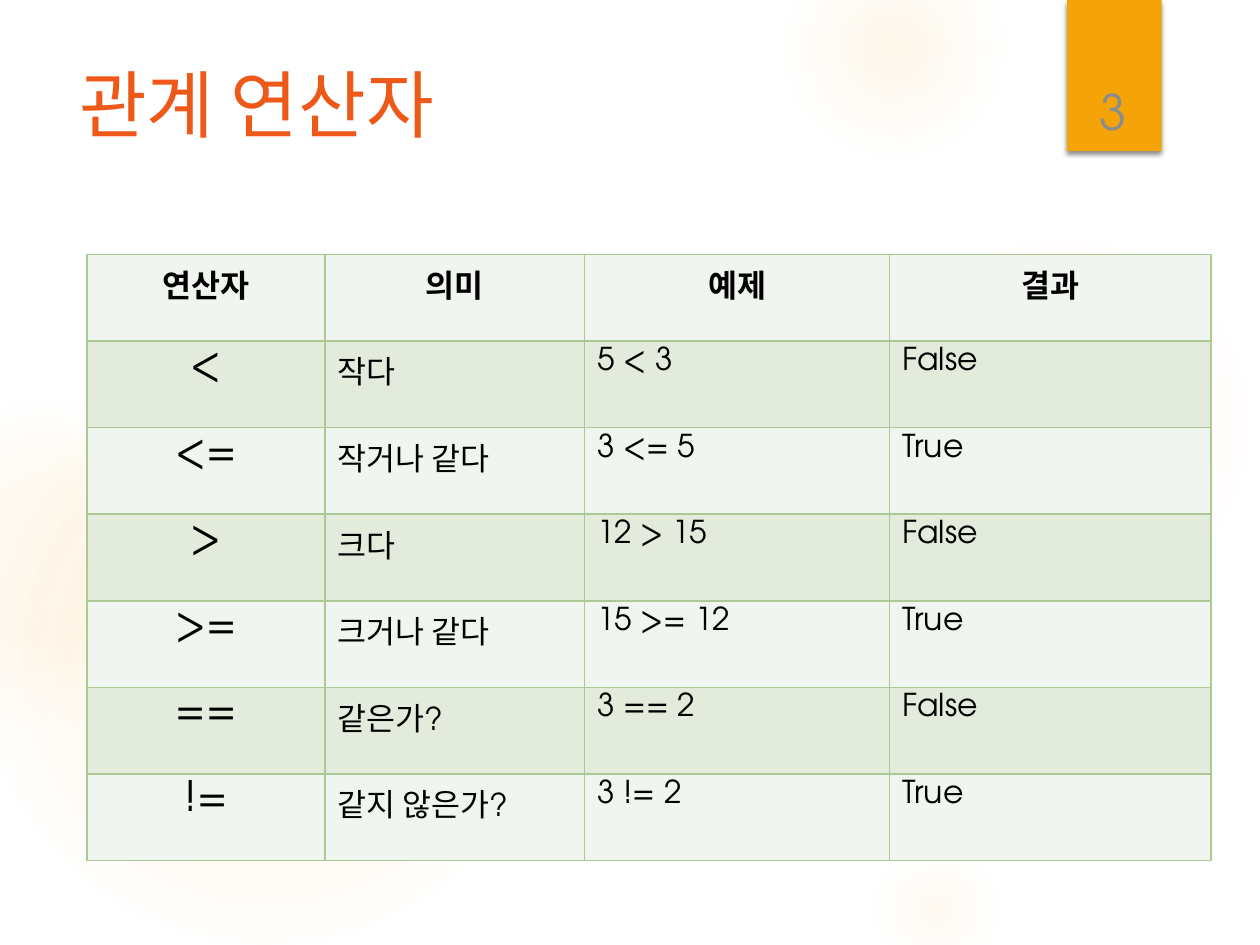
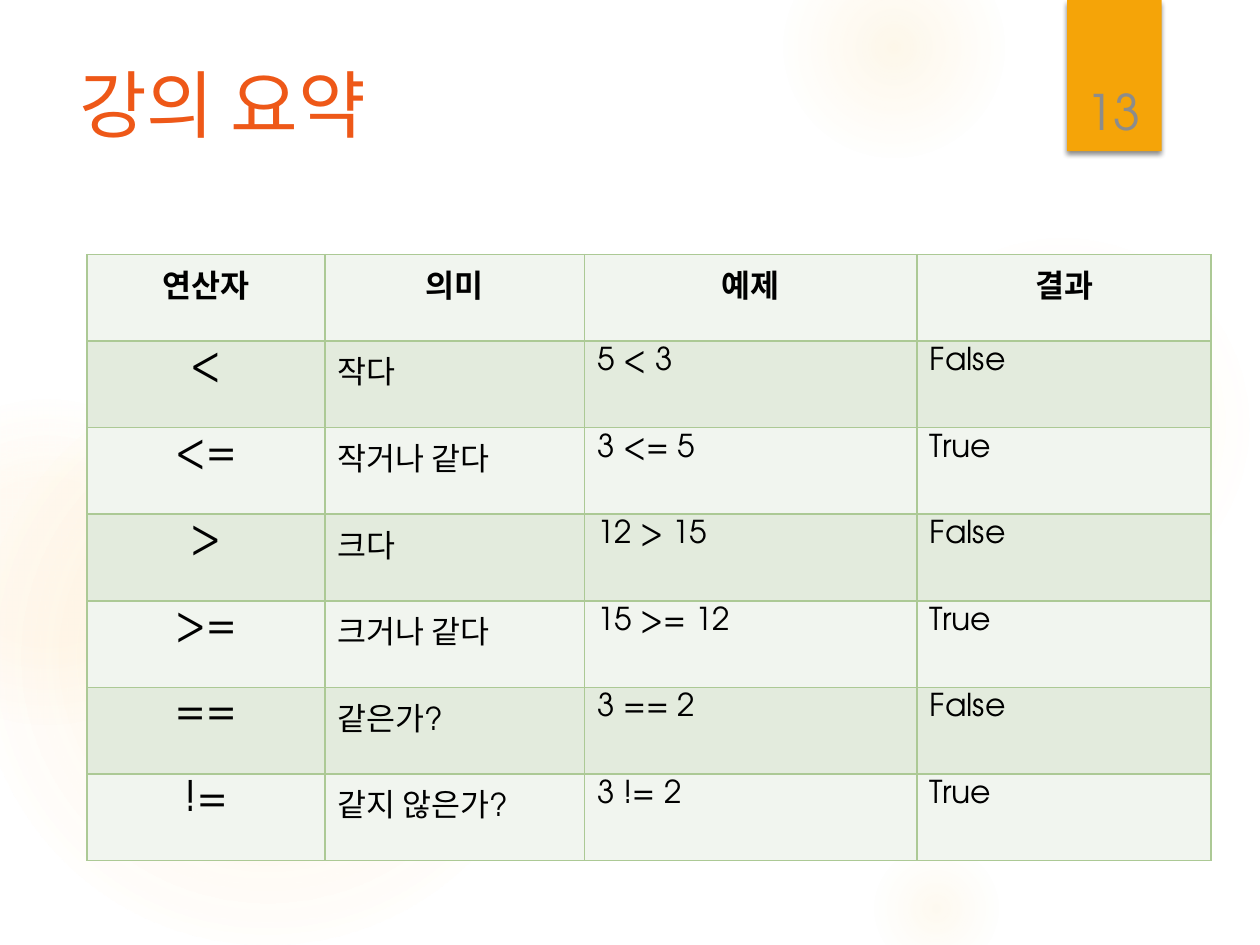
import pptx
import pptx.dml.color
import pptx.enum.shapes
import pptx.enum.text
import pptx.oxml
import pptx.oxml.ns
import pptx.util
from lxml import etree

Inches = pptx.util.Inches
Pt = pptx.util.Pt
Align = pptx.enum.text.PP_ALIGN
Anchor = pptx.enum.text.MSO_ANCHOR
Preset = pptx.enum.shapes.MSO_SHAPE

LATIN, KOREAN = "TeX Gyre Adventor", "Noto Sans CJK KR"
ORANGE, AMBER, GLOW, GREY = "EE5818", "F5A408", "FAC96A", "8C8C8C"
BLACK, GREEN_LINE = "000000", "ACC995"
ROW_FILLS = ["F1F5EF", "E3EBDD"]
DRAWING = pptx.oxml.ns.nsdecls("a")

GLOWS = [
    (6.89, 1.83, 3.08, [(0, 7), (36, 6), (69, 0)]),
    (6.22, -0.5, 1.75, [(0, 14), (36, 7), (73, 0)]),
    (6.89, 6.67, 1.08, [(0, 10), (31, 5), (66, 0)]),
    (-0.17, 2.92, 4.58, [(0, 11), (36, 10), (75, 0)]),
    (-0.92, 3.17, 2.58, [(0, 8), (36, 8), (72, 0)]),
]
OPERATORS = [
    ("연산자", "의미", "예제", "결과"),
    ("<", "작다", "5 < 3", "False"),
    ("<=", "작거나 같다", "3 <= 5", "True"),
    (">", "크다", "12 > 15", "False"),
    (">=", "크거나 같다", "15 >= 12", "True"),
    ("==", "같은가?", "3 == 2", "False"),
    ("!=", "같지 않은가?", "3 != 2", "True"),
]
TABLE_BOX = (0.69, 2.02, 8.92, 4.81)
SLIDES = [
    ("관계 연산자", "3", [1.89, 2.06, 2.42, 2.55]),
    ("강의 요약", "13", [1.89, 2.06, 2.64, 2.33]),
]


def color(value):
    """Turn a hex string into a colour."""
    return pptx.dml.color.RGBColor.from_string(value)


def write(frame, text, size, ink, latin=LATIN, align=Align.LEFT, bold=False):
    """Put one formatted paragraph in a text frame and return it."""
    frame.text = text
    para = frame.paragraphs[0]
    para.alignment = align
    span = para.runs[0]
    span.font.size = Pt(size)
    span.font.bold = bold
    span.font.color.rgb = color(ink)
    span.font.name = latin
    east_asian = etree.SubElement(span.font._element, pptx.oxml.ns.qn("a:ea"))
    east_asian.set("typeface", KOREAN)
    return para


def add_text(page, box, *args, anchor=Anchor.TOP, **options):
    """Add a wrapping text box and return its paragraph."""
    frame = page.shapes.add_textbox(*map(Inches, box)).text_frame
    frame.word_wrap = True
    frame.vertical_anchor = anchor
    return write(frame, *args, **options)


def add_glow(page, left, top, size, stops):
    """Add a soft circle that fades outward."""
    circle = page.shapes.add_shape(Preset.OVAL, *map(Inches, (left, top, size, size)))
    circle.shadow.inherit = False
    circle.line.fill.background()
    circle.fill.background()
    marks = "".join(
        f'<a:gs pos="{place * 1000}"><a:srgbClr val="{GLOW}">'
        f'<a:alpha val="{alpha * 1000}"/></a:srgbClr></a:gs>'
        for place, alpha in stops
    )
    gradient = pptx.oxml.parse_xml(
        f'<a:gradFill {DRAWING} rotWithShape="1"><a:gsLst>{marks}</a:gsLst>'
        '<a:path path="circle"><a:fillToRect l="50000" t="50000" r="50000" b="50000"/>'
        "</a:path></a:gradFill>"
    )
    properties = circle._element.spPr
    properties.replace(properties.find(pptx.oxml.ns.qn("a:noFill")), gradient)


def add_number_band(page, left, width, height, number):
    """Add the shadowed band at the top edge with the page number."""
    band = page.shapes.add_shape(Preset.RECTANGLE, *map(Inches, (left, 0, width, height)))
    band.shadow.inherit = False
    band.fill.solid()
    band.fill.fore_color.rgb = color(AMBER)
    band.line.fill.background()
    effects = band._element.spPr.find(pptx.oxml.ns.qn("a:effectLst"))
    effects.append(pptx.oxml.parse_xml(
        f'<a:outerShdw {DRAWING} blurRad="{Pt(3)}" dist="{Pt(2)}" dir="5400000" '
        f'algn="t" rotWithShape="0"><a:srgbClr val="{BLACK}">'
        '<a:alpha val="45000"/></a:srgbClr></a:outerShdw>'
    ))
    number_box = (left + 0.02, 0.32, width - 0.06, height - 0.36)
    add_text(page, number_box, number, 28, GREY, align=Align.CENTER, anchor=Anchor.BOTTOM)


def add_borders(cell):
    """Draw the thin green line on all four sides of a cell."""
    properties = cell._tc.get_or_add_tcPr()
    for side in ("lnL", "lnR", "lnT", "lnB"):
        properties.append(pptx.oxml.parse_xml(
            f'<a:{side} {DRAWING} w="{Pt(1)}"><a:solidFill>'
            f'<a:srgbClr val="{GREEN_LINE}"/></a:solidFill></a:{side}>'
        ))


def add_operator_table(page, box, widths):
    """Add the table of relational operators."""
    table = page.shapes.add_table(len(OPERATORS), len(widths), *map(Inches, box)).table
    table.first_row = False
    table.horz_banding = False
    for column, width in zip(table.columns, widths):
        column.width = Inches(width)
    for row_index, texts in enumerate(OPERATORS):
        table.rows[row_index].height = Inches(box[3] / len(OPERATORS))
        header = row_index == 0
        for column_index, text in enumerate(texts):
            cell = table.cell(row_index, column_index)
            operator = column_index == 0 and not header
            align = Align.CENTER if header or operator else Align.LEFT
            write(cell.text_frame, text, 24 if operator else 18, BLACK,
                  align=align, bold=header)
            add_borders(cell)
            cell.fill.solid()
            cell.fill.fore_color.rgb = color(ROW_FILLS[row_index % 2])


def add_operator_slide(deck, title, number, widths):
    """Add a slide with glows, number band, title and operator table."""
    page = deck.slides.add_slide(deck.slide_layouts[6])
    for glow in GLOWS:
        add_glow(page, *glow)
    add_number_band(page, 8.47, 0.75, 1.2, number)
    heading = add_text(page, (0.53, 0.5, 7.72, 1.53), title, 42, ORANGE, latin=KOREAN)
    heading.line_spacing = 0.9
    add_operator_table(page, TABLE_BOX, widths)


def main():
    """Build and save the deck."""
    deck = pptx.Presentation()
    deck.slide_width, deck.slide_height = Inches(10), Inches(7.5)
    for content in SLIDES:
        add_operator_slide(deck, *content)
    deck.save("out.pptx")


if __name__ == "__main__":
    main()
